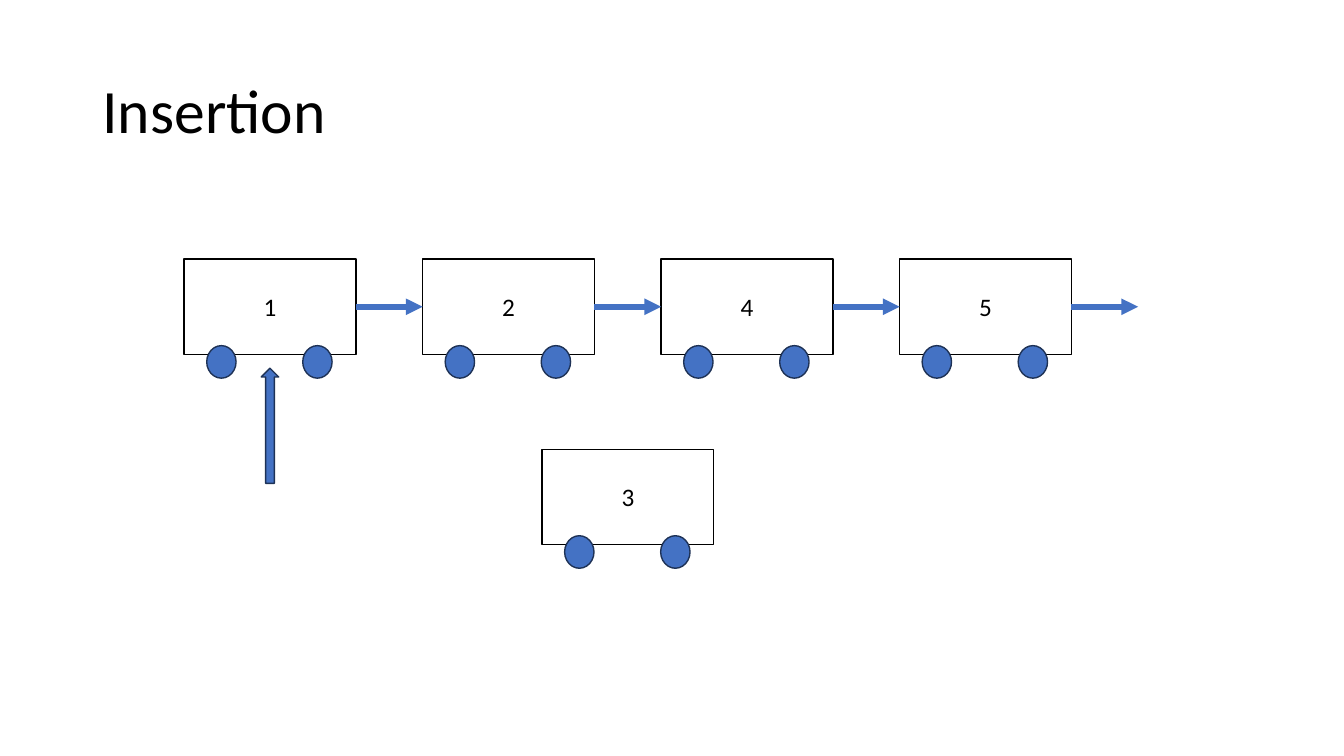
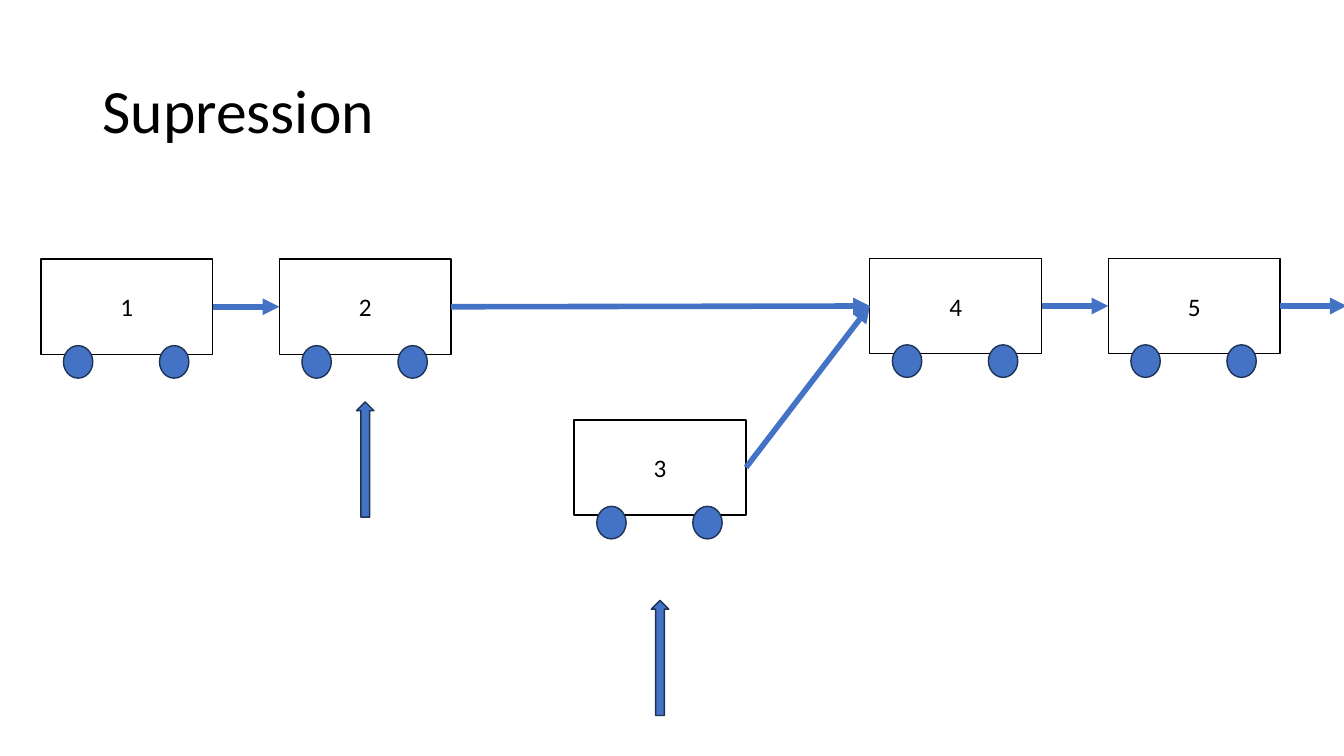
"""Build two slides that show a linked list as a train of wagons."""
from pptx import Presentation
from pptx import util as u
from pptx.dml.color import RGBColor
from pptx.enum import shapes, text
from pptx.oxml.xmlchemy import OxmlElement

COLORS = {"text": "000000", "paper": "FFFFFF", "accent": "4472C4", "edge": "1E3256"}
FONT = "Calibri"
TITLE_BOX = {"left": 2.33, "top": 1.01, "width": 29.21, "height": 3.68}
WAGON_WIDTH, WAGON_HEIGHT, GAP = 4.33, 2.4, 1.68
PITCH = WAGON_WIDTH + GAP
WHEEL_WIDTH, WHEEL_HEIGHT, WHEEL_TOP = 0.74, 0.82, 2.18
WHEEL_LEFTS = (0.57, 2.99)
POINTER_WIDTH, POINTER_HEIGHT = 0.44, 2.9
ROW_TOP = 6.53
TITLE_FRAME = {
    "word_wrap": True,
    "auto_size": text.MSO_AUTO_SIZE.NONE,
    "vertical_anchor": text.MSO_ANCHOR.MIDDLE,
}
TITLE_PARAGRAPH = {"alignment": text.PP_ALIGN.LEFT, "line_spacing": 0.9}
LABEL_FRAME = {"vertical_anchor": text.MSO_ANCHOR.MIDDLE}
LABEL_PARAGRAPH = {"alignment": text.PP_ALIGN.CENTER}

SLIDES = [
    {
        "title": "Insertion",
        "wagons": {
            "1": (4.64, ROW_TOP),
            "2": (4.64 + PITCH, ROW_TOP),
            "4": (4.64 + 2 * PITCH, ROW_TOP),
            "5": (4.64 + 3 * PITCH, ROW_TOP),
            "3": (13.66, 11.32),
        },
        "links": [("1", "2"), ("2", "4"), ("4", "5"), ("5", None)],
        "pointers": [("1", 9.28)],
    },
    {
        "title": "Supression",
        "wagons": {
            "1": (1.03, ROW_TOP),
            "2": (1.03 + PITCH, ROW_TOP),
            "4": (21.92, 6.51),
            "5": (21.92 + PITCH, 6.51),
            "3": (14.47, 10.58),
        },
        "links": [("1", "2"), ("2", "4"), ("4", "5"), ("3", "4"), ("5", None)],
        "pointers": [("2", 10.13), ("3", 15.13)],
    },
]


def apply(target, values):
    for name, value in values.items():
        setattr(target, name, value)


def color(name):
    return RGBColor.from_string(COLORS[name])


def write(frame, content, size, frame_format, paragraph_format):
    apply(frame, frame_format)
    paragraph = frame.paragraphs[0]
    paragraph.text = content
    apply(paragraph, paragraph_format)
    apply(paragraph.font, {"name": FONT, "size": u.Pt(size)})
    paragraph.font.color.rgb = color("text")


def add_shape(parent, kind, left, top, width, height, fill="accent", line="edge"):
    shape = parent.add_shape(kind, *map(u.Cm, (left, top, width, height)))
    shape.shadow.inherit = False
    shape.fill.solid()
    shape.fill.fore_color.rgb = color(fill)
    shape.line.color.rgb = color(line)
    shape.line.width = u.Pt(1)
    return shape


def add_wagon(slide, label, left, top):
    members = slide.shapes.add_group_shape().shapes
    body = add_shape(members, shapes.MSO_SHAPE.RECTANGLE, left, top,
                     WAGON_WIDTH, WAGON_HEIGHT, "paper", "text")
    write(body.text_frame, label, 18, LABEL_FRAME, LABEL_PARAGRAPH)
    for offset in WHEEL_LEFTS:
        add_shape(members, shapes.MSO_SHAPE.OVAL, left + offset, top + WHEEL_TOP,
                  WHEEL_WIDTH, WHEEL_HEIGHT)
    return body


def add_link(slide, source, target):
    start = source.left + source.width
    middle = source.top + source.height // 2
    connector = slide.shapes.add_connector(
        shapes.MSO_CONNECTOR.STRAIGHT, start, middle, start + u.Cm(GAP), middle)
    connector.begin_connect(source, 3)
    if target is not None:
        connector.end_connect(target, 1)
    connector.line.color.rgb = color("accent")
    connector.line.width = u.Pt(4)
    arrowhead = OxmlElement("a:tailEnd")
    arrowhead.set("type", "triangle")
    properties = connector._element.spPr
    properties.ln.append(arrowhead)
    properties.append(OxmlElement("a:effectLst"))


def add_pointer(slide, wagon_left, top):
    left = wagon_left + (WAGON_WIDTH - POINTER_WIDTH) / 2
    add_shape(slide.shapes, shapes.MSO_SHAPE.UP_ARROW, left, top,
              POINTER_WIDTH, POINTER_HEIGHT)


def build_slide(presentation, content):
    slide = presentation.slides.add_slide(presentation.slide_layouts[5])
    title = slide.shapes.title
    apply(title, {name: u.Cm(value) for name, value in TITLE_BOX.items()})
    write(title.text_frame, content["title"], 44, TITLE_FRAME, TITLE_PARAGRAPH)
    wagons = content["wagons"]
    bodies = {label: add_wagon(slide, label, *place) for label, place in wagons.items()}
    for source, target in content["links"]:
        add_link(slide, bodies[source], bodies.get(target))
    for label, top in content["pointers"]:
        add_pointer(slide, wagons[label][0], top)


def main():
    presentation = Presentation()
    apply(presentation, {"slide_width": u.Cm(33.87), "slide_height": u.Cm(19.05)})
    for content in SLIDES:
        build_slide(presentation, content)
    presentation.save("out.pptx")


if __name__ == "__main__":
    main()
